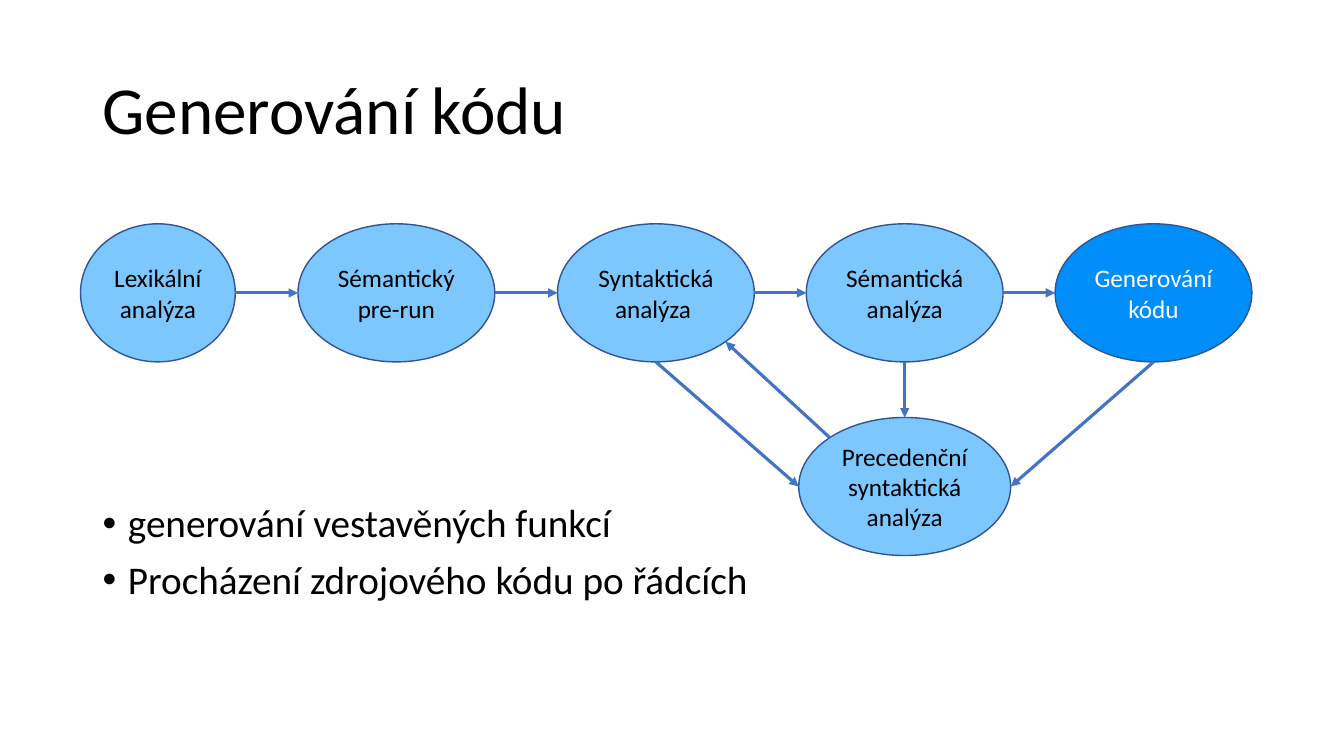
from math import sqrt

from lxml import etree
from pptx import Presentation
from pptx.dml.color import RGBColor
from pptx.enum.shapes import MSO_CONNECTOR, MSO_SHAPE
from pptx.enum.text import MSO_ANCHOR, PP_ALIGN
from pptx.oxml.ns import qn
from pptx.util import Cm, Pt

ELLIPSE = MSO_SHAPE.OVAL
STRAIGHT = MSO_CONNECTOR.STRAIGHT
MIDDLE, TOP = MSO_ANCHOR.MIDDLE, MSO_ANCHOR.TOP
LEFT, CENTER = PP_ALIGN.LEFT, PP_ALIGN.CENTER

FONT = "Calibri"
BLACK, WHITE = "000000", "FFFFFF"
LIGHT_BLUE, STRONG_BLUE = "7DC7FF", "008FFA"
OUTLINE, ARROW = "325491", "4472C4"


def color(hex_string):
    return RGBColor.from_string(hex_string)


def write_text(shape, text, size, font_color=BLACK, align=LEFT, anchor=MIDDLE,
               line_spacing=None, space_before=0, hanging=None):
    """Fill the shape with one paragraph per line of text."""
    frame = shape.text_frame
    frame.word_wrap = True
    frame.vertical_anchor = anchor
    frame.text = text
    for index, paragraph in enumerate(frame.paragraphs):
        paragraph.alignment = align
        paragraph.line_spacing = line_spacing
        paragraph.space_before = Pt(space_before if index else 0)
        if hanging:
            properties = paragraph._p.get_or_add_pPr()
            properties.set("marL", str(hanging))
            properties.set("indent", str(-hanging))
        paragraph.font.name = FONT
        paragraph.font.size = Pt(size)
        paragraph.font.color.rgb = color(font_color)


presentation = Presentation()
presentation.slide_width = Cm(33.87)
presentation.slide_height = Cm(19.05)
slide = presentation.slides.add_slide(presentation.slide_layouts[1])

title, body = slide.placeholders
for placeholder, top, height in ((title, 1.01, 3.68), (body, 12.57, 4.6)):
    placeholder.left, placeholder.top = Cm(2.33), Cm(top)
    placeholder.width, placeholder.height = Cm(29.21), Cm(height)
write_text(title, "Generování kódu", 48, line_spacing=0.9)
write_text(body, "generování vestavěných funkcí\nProcházení zdrojového kódu po řádcích",
           28, anchor=TOP, line_spacing=0.9, space_before=10, hanging=Cm(0.64))

# Compiler phases: name, text, left, top, width, fill, font colour
ROW_TOP, PHASE_HEIGHT = 5.64, 3.48
phases = {}
for name, text, left, top, width, fill, font_color in (
    ("lexical", "Lexikální analýza", 2.03, ROW_TOP, 3.9, LIGHT_BLUE, BLACK),
    ("pre-run", "Sémantický pre-run", 7.51, ROW_TOP, 4.96, LIGHT_BLUE, BLACK),
    ("syntactic", "Syntaktická analýza ", 14.05, ROW_TOP, 4.96, LIGHT_BLUE, BLACK),
    ("semantic", "Sémantická analýza", 20.32, ROW_TOP, 4.96, LIGHT_BLUE, BLACK),
    ("generation", "Generování kódu", 26.59, ROW_TOP, 4.96, STRONG_BLUE, WHITE),
    ("precedence", "Precedenční syntaktická analýza", 20.13, 10.52, 5.34, LIGHT_BLUE, BLACK),
):
    phase = slide.shapes.add_shape(ELLIPSE, Cm(left), Cm(top), Cm(width), Cm(PHASE_HEIGHT))
    phase.shadow.inherit = False
    phase.fill.solid()
    phase.fill.fore_color.rgb = color(fill)
    phase.line.color.rgb = color(OUTLINE)
    phase.line.width = Pt(1)
    write_text(phase, text, 18, font_color=font_color, align=CENTER)
    phases[name] = phase

# Directions from an ellipse's centre to its edge, in units of its radii
DIAGONAL = sqrt(0.5)
DIRECTIONS = {
    "left": (-1, 0), "right": (1, 0), "top": (0, -1), "bottom": (0, 1),
    "top left": (-DIAGONAL, -DIAGONAL), "bottom right": (DIAGONAL, DIAGONAL),
}
for source, source_side, target, target_side in (
    ("lexical", "right", "pre-run", "left"),
    ("pre-run", "right", "syntactic", "left"),
    ("syntactic", "right", "semantic", "left"),
    ("semantic", "right", "generation", "left"),
    ("syntactic", "bottom", "precedence", "left"),
    ("precedence", "top left", "syntactic", "bottom right"),
    ("semantic", "bottom", "precedence", "top"),
    ("generation", "bottom", "precedence", "right"),
):
    ends = []
    for name, side in ((source, source_side), (target, target_side)):
        phase = phases[name]
        across, down = DIRECTIONS[side]
        ends.append(round(phase.left + phase.width * (1 + across) / 2))
        ends.append(round(phase.top + phase.height * (1 + down) / 2))
    arrow = slide.shapes.add_connector(STRAIGHT, *ends)
    arrow.line.color.rgb = color(ARROW)
    arrow.line.width = Pt(2.25)
    properties = arrow.element.spPr
    etree.SubElement(properties.find(qn("a:ln")), qn("a:tailEnd"), type="triangle")
    etree.SubElement(properties, qn("a:effectLst"))

presentation.save("out.pptx")
